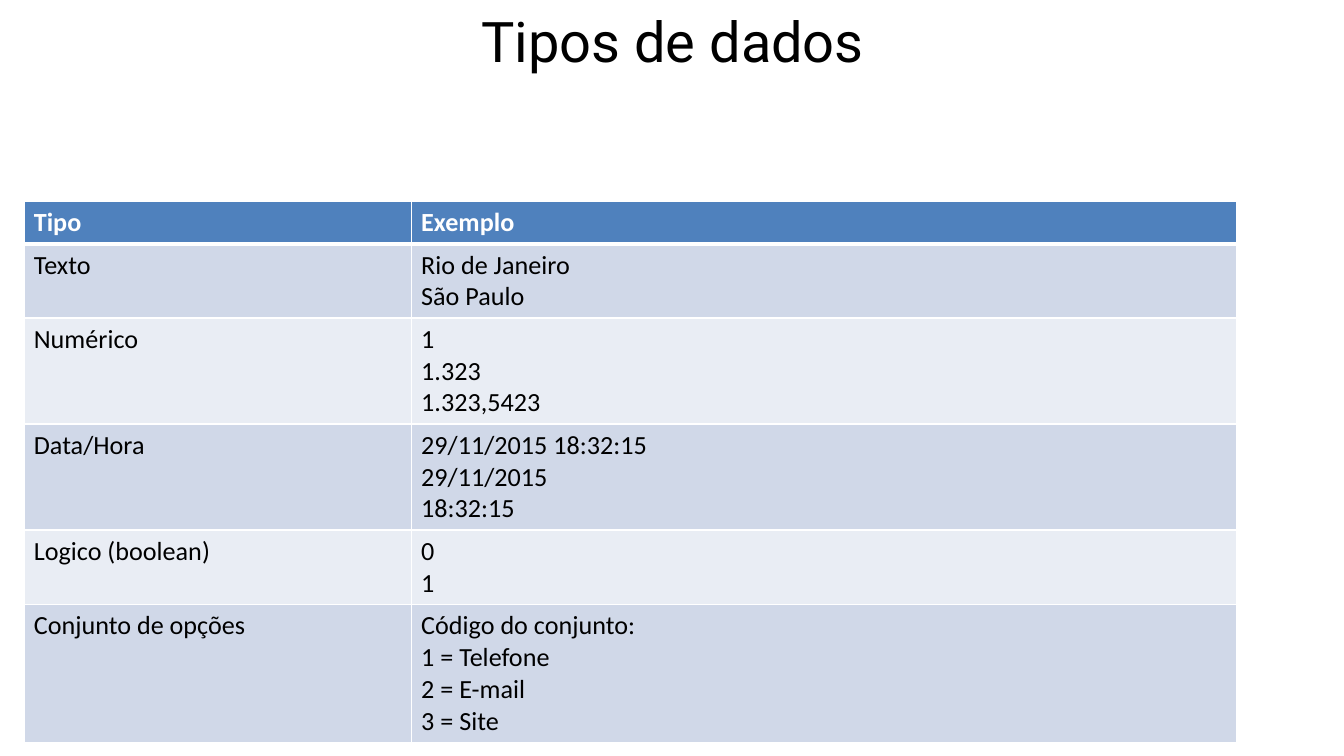
from lxml import etree
from pptx import Presentation
from pptx.dml.color import RGBColor
from pptx.enum.text import MSO_ANCHOR, PP_ALIGN
from pptx.oxml.ns import qn
from pptx.util import Cm, Pt

TOP = MSO_ANCHOR.TOP
CENTER = PP_ALIGN.CENTER
LEFT = PP_ALIGN.LEFT


def color(hex_code):
    return RGBColor.from_string(hex_code)


def add_border(cell, side, points):
    ln = etree.SubElement(cell._tc.get_or_add_tcPr(), qn(f"a:ln{side}"), w=str(Pt(points)))
    fill = etree.SubElement(ln, qn("a:solidFill"))
    etree.SubElement(fill, qn("a:srgbClr"), val="FFFFFF")


rows = [
    ("Tipo", ["Exemplo"]),
    ("Texto", ["Rio de Janeiro", "São Paulo"]),
    ("Numérico", ["1", "1.323", "1.323,5423"]),
    ("Data/Hora", ["29/11/2015 18:32:15", "29/11/2015", "18:32:15"]),
    ("Logico (boolean)", ["0", "1"]),
    ("Conjunto de opções", ["Código do conjunto:", "1 = Telefone", "2 = E-mail", "3 = Site"]),
]

prs = Presentation()
prs.slide_width, prs.slide_height = Cm(25.4), Cm(14.29)
s = prs.slides.add_slide(prs.slide_layouts[5])

title = s.shapes.title
title.left, title.top, title.width, title.height = Cm(0.03), Cm(0), Cm(25.37), Cm(3.18)
tf = title.text_frame
tf.text = "Tipos de dados"
tf.vertical_anchor = TOP
p = tf.paragraphs[0]
p.alignment = CENTER
p.font.name = "Roboto"
p.font.size = Pt(30)
p.font.color.rgb = color("000000")

heights = [0.19 + 0.57 * len(examples) for _, examples in rows]
table = s.shapes.add_table(len(rows), 2, Cm(0.46), Cm(3.81), Cm(22.92), Cm(sum(heights))).table
table.columns[0].width = Cm(7.32)
table.columns[1].width = Cm(15.6)

for i, (kind, examples) in enumerate(rows):
    table.rows[i].height = Cm(heights[i])
    header = i == 0
    fill = "4F81BD" if header else ("E9EDF4", "D0D8E8")[i % 2]
    for j, lines in enumerate(([kind], examples)):
        cell = table.cell(i, j)
        cell.margin_left = cell.margin_right = Cm(0.18)
        cell.margin_top = cell.margin_bottom = Cm(0.1)
        cell.vertical_anchor = TOP
        for side in "LRTB":
            thick = (i, side) in ((0, "B"), (1, "T"))
            add_border(cell, side, 3 if thick else 1)
        cell.fill.solid()
        cell.fill.fore_color.rgb = color(fill)
        cell.text = "\n".join(lines)
        for p in cell.text_frame.paragraphs:
            p.alignment = LEFT
            p.font.name = "Calibri"
            p.font.size = Pt(14)
            p.font.bold = header
            p.font.color.rgb = color("FFFFFF" if header else "000000")

prs.save("out.pptx")
